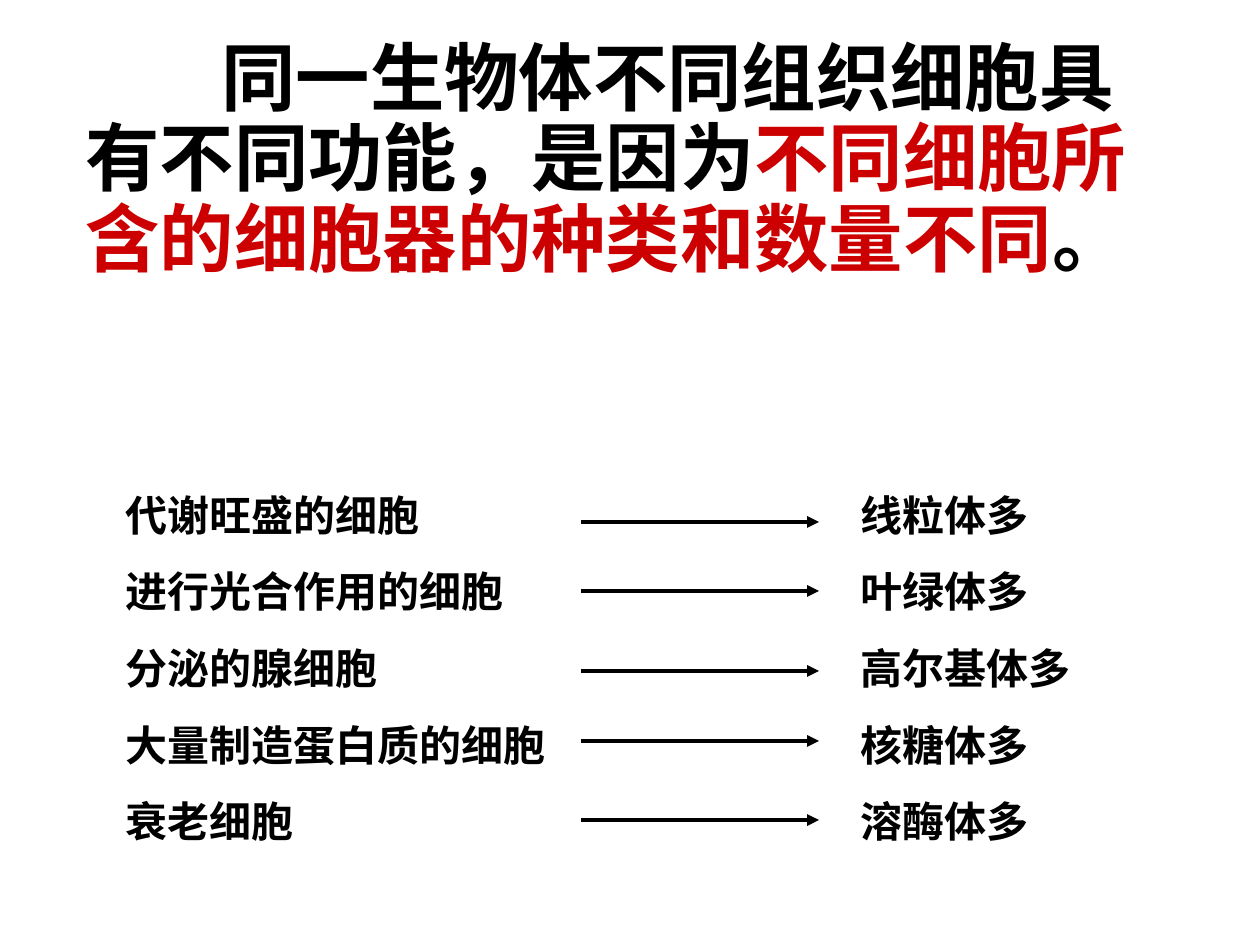
import dataclasses

import pptx
import pptx.dml.color
import pptx.enum.shapes
import pptx.enum.text
import pptx.oxml.xmlchemy
import pptx.oxml.ns
import pptx.util
import lxml.etree


@dataclasses.dataclass(frozen=True)
class Theme:
    ink: str = "000000"
    red: str = "CC0000"
    head: str = "Noto Sans CJK JP"
    text: str = "Times New Roman"
    large: float = 42.5
    small: float = 24
    gap: float = 15
    rule: float = 2.25


THEME = Theme()
SCALE = 914400 / 126

CLAIM = [
    ("同一生物体不同组织细胞具有不同功能，是因为", THEME.ink),
    ("不同细胞所含的细胞器的种类和数量不同", THEME.red),
    ("。", THEME.ink),
]
ROWS = [
    ("代谢旺盛的细胞", "线粒体多", 522),
    ("进行光合作用的细胞", "叶绿体多", 591),
    ("分泌的腺细胞", "高尔基体多", 671),
    ("大量制造蛋白质的细胞", "核糖体多", 741),
    ("衰老细胞", "溶酶体多", 820),
]


def px(count):
    return pptx.util.Emu(round(count * SCALE))


def tint(code):
    return pptx.dml.color.RGBColor.from_string(code)


def add_tag(parent, name, **attrs):
    return lxml.etree.SubElement(parent, pptx.oxml.ns.qn(name), **attrs)


def add_run(para, words, face, size, color):
    run = para.add_run()
    run.text = words
    font = run.font
    font.name = face
    font.size = pptx.util.Pt(size)
    font.bold = True
    font.color.rgb = tint(color)


def fill_claim(slide):
    slide.shapes.title.element.getparent().remove(slide.shapes.title.element)
    body = slide.placeholders[1]
    body.left, body.top, body.width, body.height = map(px, (25, 35, 1152, 287))
    frame = body.text_frame
    frame.word_wrap = True
    frame.auto_size = pptx.enum.text.MSO_AUTO_SIZE.NONE
    para = frame.paragraphs[0]
    props = para._p.get_or_add_pPr()
    props.set("marL", str(px(48)))
    props.set("indent", str(px(136)))
    add_tag(props, "a:buNone")
    para.line_spacing = 0.9
    para.space_before = pptx.util.Pt(0)
    for words, color in CLAIM:
        add_run(para, words, THEME.head, THEME.large, color)


def add_list(shapes, left, width, lines):
    box = shapes.add_textbox(px(left), px(483), px(width), px(370))
    frame = box.text_frame
    frame.word_wrap = True
    frame.auto_size = pptx.enum.text.MSO_AUTO_SIZE.SHAPE_TO_FIT_TEXT
    for index, words in enumerate(lines):
        para = frame.add_paragraph() if index else frame.paragraphs[0]
        para.space_before = pptx.util.Pt(THEME.gap if index else 0)
        add_run(para, words, THEME.text, THEME.small, THEME.ink)


def add_arrow(shapes, row):
    kind = pptx.enum.shapes.MSO_CONNECTOR.STRAIGHT
    arrow = shapes.add_connector(kind, px(581), px(row), px(819), px(row))
    arrow.line.color.rgb = tint(THEME.ink)
    arrow.line.width = pptx.util.Pt(THEME.rule)
    add_tag(arrow.line._get_or_add_ln(), "a:tailEnd", type="triangle")
    add_tag(arrow._element.spPr, "a:effectLst")


def main():
    deck = pptx.Presentation()
    deck.slide_width, deck.slide_height = px(1260), px(945)
    slide = deck.slides.add_slide(deck.slide_layouts[1])
    cells, parts, heights = zip(*ROWS)
    fill_claim(slide)
    add_list(slide.shapes, 113, 456, cells)
    group = slide.shapes.add_group_shape()
    add_list(group.shapes, 848, 277, parts)
    for row in heights:
        add_arrow(group.shapes, row)
    deck.save("out.pptx")


if __name__ == "__main__":
    main()
